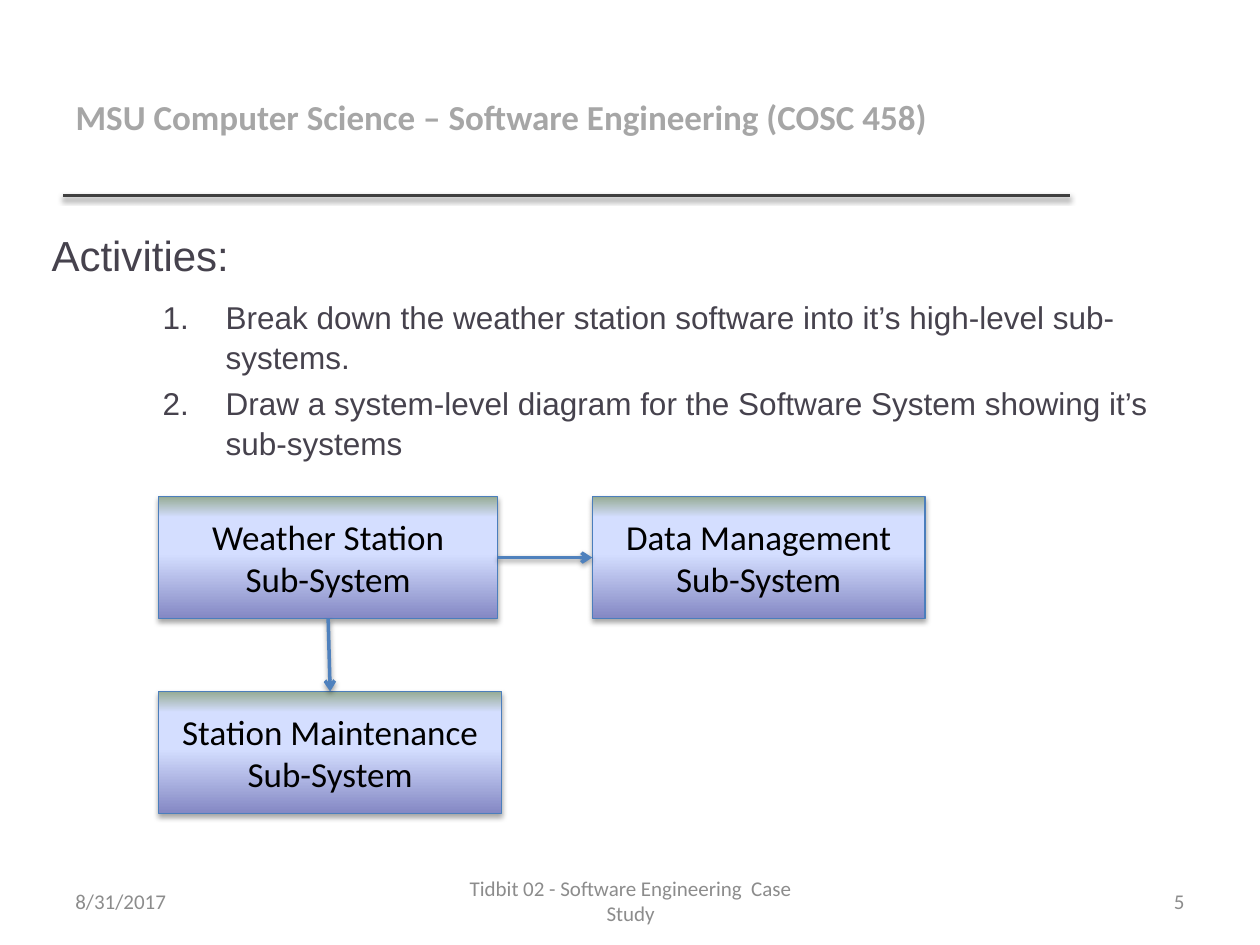
from lxml.etree import SubElement
from pptx import Presentation
from pptx.dml.color import RGBColor
from pptx.enum.shapes import MSO_CONNECTOR, MSO_SHAPE
from pptx.enum.text import MSO_ANCHOR, PP_ALIGN
from pptx.oxml.ns import qn
from pptx.util import Cm, Pt

TITLE_GRAY = RGBColor(0xA6, 0xA6, 0xA6)
FOOTER_GRAY = RGBColor(0x8C, 0x8C, 0x8C)
RULE_GRAY = RGBColor(0x40, 0x40, 0x40)
BODY_INK = RGBColor(0x46, 0x42, 0x4D)
BLACK = RGBColor(0, 0, 0)
BOX_EDGE = RGBColor(0x4B, 0x7E, 0xBC)
ARROW_BLUE = RGBColor(0x4F, 0x81, 0xBD)
# Gradient stops, from the bottom of a box to its top
BOX_STOPS = [(0, RGBColor(0x84, 0x88, 0xC4)), (53, RGBColor(0xD4, 0xDE, 0xFF)),
             (83, RGBColor(0xD4, 0xDE, 0xFF)), (100, RGBColor(0x96, 0xAB, 0x94))]

# Content
TITLE = "MSU Computer Science – Software Engineering (COSC 458)"
HEADING = "Activities:"
ACTIVITIES = [
    "Break down the weather station software into it’s high-level sub-systems.",
    "Draw a system-level diagram for the Software System showing it’s sub-systems",
]
# Name: (first line, left, top, width) in cm
SUBSYSTEMS = {
    "station": ("Weather Station", 3.2, 10.01, 6.83),
    "data": ("Data Management", 11.94, 10.01, 6.71),
    "maintenance": ("Station Maintenance", 3.2, 13.94, 6.91),
}
BOX_HEIGHT = 2.46
TOP, LEFT, BOTTOM, RIGHT = range(4)  # connection sites of a rectangle
ARROWS = [("station", RIGHT, "data", LEFT),
          ("station", BOTTOM, "maintenance", TOP)]
# (text, left, width, alignment)
FOOTERS = [
    ("8/31/2017", 1.27, 5.92, PP_ALIGN.LEFT),
    ("Tidbit 02 - Software Engineering  Case Study", 8.69, 8.05, PP_ALIGN.CENTER),
    ("5", 18.21, 5.92, PP_ALIGN.RIGHT),
]

# Formats
TITLE_FONT = {"name": "Calibri", "size": Pt(20), "bold": True}
FOOTER_FONT = {"name": "Calibri", "size": Pt(12)}
BOX_FONT = {"name": "Calibri", "size": Pt(20)}
HEADING_FONT = {"name": "Arial", "size": Pt(24)}
ITEM_FONT = {"name": "Arial", "size": Pt(18)}
HEADING_SPACING = {"space_before": Pt(6), "space_after": Pt(6), "line_spacing": 1.05}
ITEM_SPACING = {"space_before": Pt(3.6), "space_after": Pt(0), "line_spacing": 1.05}


def set_all(target, values):
    for name, value in values.items():
        setattr(target, name, value)


def write(para, text, font, color, **layout):
    span = para.add_run()
    span.text = text
    set_all(span.font, font)
    span.font.color.rgb = color
    set_all(para, layout)


def add_text_box(page, left, top, width, height, anchor):
    box = page.shapes.add_textbox(Cm(left), Cm(top), Cm(width), Cm(height))
    set_all(box.text_frame, {"word_wrap": True, "vertical_anchor": anchor})
    return box.text_frame


def add_shadow(shape, distance, opacity):
    properties = shape._element.spPr
    for old in properties.findall(qn("a:effectLst")):
        properties.remove(old)
    effects = SubElement(properties, qn("a:effectLst"))
    shadow = SubElement(effects, qn("a:outerShdw"), blurRad=str(Pt(3.1)),
                        dist=str(Pt(distance)), dir="5400000", rotWithShape="0")
    color = SubElement(shadow, qn("a:srgbClr"), val="000000")
    SubElement(color, qn("a:alpha"), val=str(opacity * 1000))


def add_line(page, color, start=(0, 0), end=(0, 0)):
    line = page.shapes.add_connector(MSO_CONNECTOR.STRAIGHT,
                                     *(Cm(value) for value in start + end))
    line.line.color.rgb = color
    line.line.width = Pt(2)
    add_shadow(line, 1.6, 38)
    return line


def add_subsystem(page, name, left, top, width):
    box = page.shapes.add_shape(MSO_SHAPE.RECTANGLE, Cm(left), Cm(top),
                                Cm(width), Cm(BOX_HEIGHT))
    box.fill.gradient()
    box.fill.gradient_angle = 90
    stops = box._element.spPr.find(".//" + qn("a:gsLst"))
    for old in list(stops):
        stops.remove(old)
    for position, color in BOX_STOPS:
        stop = SubElement(stops, qn("a:gs"), pos=str(position * 1000))
        SubElement(stop, qn("a:srgbClr"), val=str(color))
    box.line.color.rgb = BOX_EDGE
    box.line.width = Pt(0.75)
    add_shadow(box, 1.8, 35)
    frame = box.text_frame
    frame.vertical_anchor = MSO_ANCHOR.MIDDLE
    for para, text in ((frame.paragraphs[0], name),
                       (frame.add_paragraph(), "Sub-System")):
        write(para, text, BOX_FONT, BLACK, alignment=PP_ALIGN.CENTER)
    return box


def main():
    deck = Presentation()
    deck.slide_width, deck.slide_height = Cm(25.4), Cm(19.05)
    page = deck.slides.add_slide(deck.slide_layouts[5])

    # Title and rule
    add_line(page, RULE_GRAY, (1.27, 3.94), (21.56, 3.94))
    title = page.shapes.title
    set_all(title, {"left": Cm(1.27), "top": Cm(0.76),
                    "width": Cm(20.27), "height": Cm(3.18)})
    title.text_frame.vertical_anchor = MSO_ANCHOR.MIDDLE
    write(title.text_frame.paragraphs[0], TITLE, TITLE_FONT, TITLE_GRAY,
          alignment=PP_ALIGN.LEFT)

    # Numbered activities
    body = add_text_box(page, 0.79, 4.45, 23.9, 4.62, MSO_ANCHOR.TOP)
    write(body.paragraphs[0], HEADING, HEADING_FONT, BODY_INK, **HEADING_SPACING)
    for activity in ACTIVITIES:
        para = body.add_paragraph()
        write(para, activity, ITEM_FONT, BODY_INK, **ITEM_SPACING)
        properties = para._p.get_or_add_pPr()
        properties.set("marL", str(Cm(3.51)))
        properties.set("indent", str(Cm(-1.27)))
        SubElement(properties, qn("a:buFont"), typeface="+mj-lt")
        SubElement(properties, qn("a:buAutoNum"), type="arabicPeriod")

    # Sub-system diagram
    boxes = {key: add_subsystem(page, *values) for key, values in SUBSYSTEMS.items()}
    for source, source_site, target, target_site in ARROWS:
        arrow = add_line(page, ARROW_BLUE)
        arrow.begin_connect(boxes[source], source_site)
        arrow.end_connect(boxes[target], target_site)
        SubElement(arrow.line._get_or_add_ln(), qn("a:tailEnd"), type="arrow")

    # Footer
    for text, left, width, alignment in FOOTERS:
        frame = add_text_box(page, left, 17.65, width, 1.02, MSO_ANCHOR.MIDDLE)
        write(frame.paragraphs[0], text, FOOTER_FONT, FOOTER_GRAY, alignment=alignment)

    deck.save("out.pptx")


if __name__ == "__main__":
    main()
